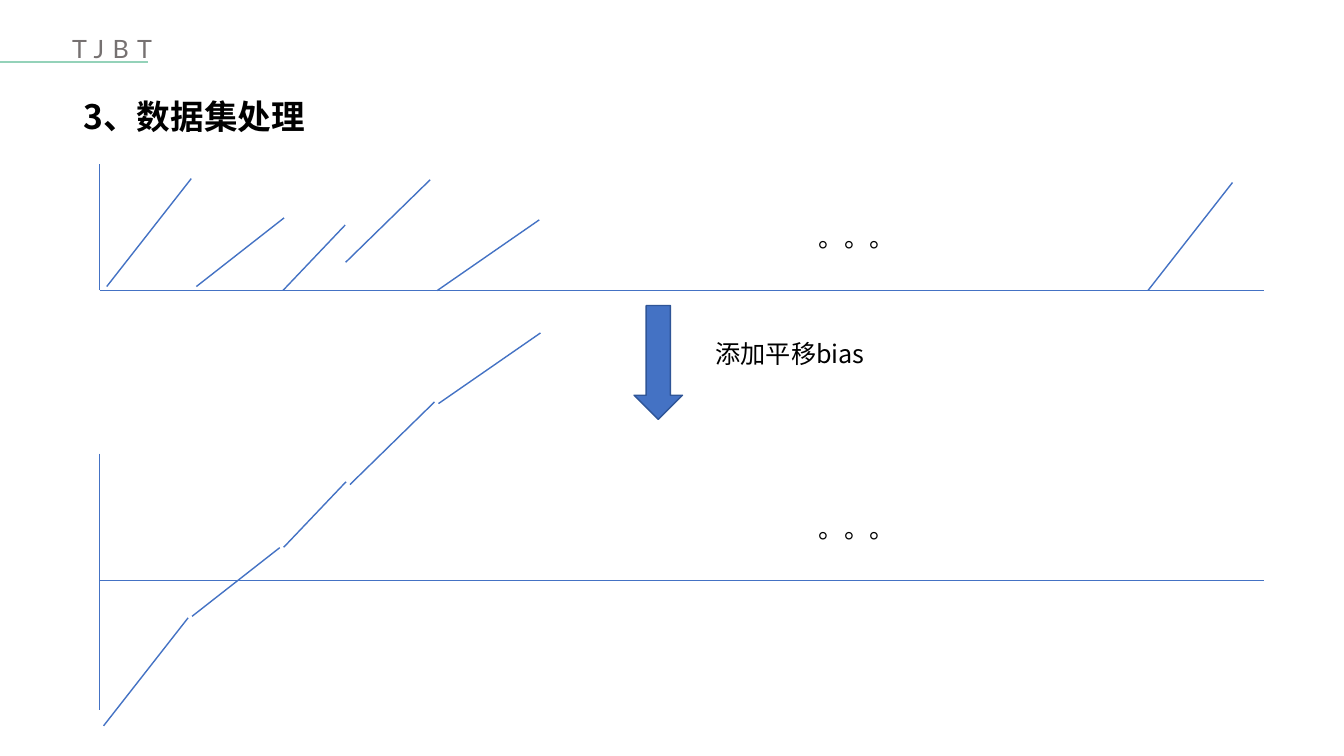
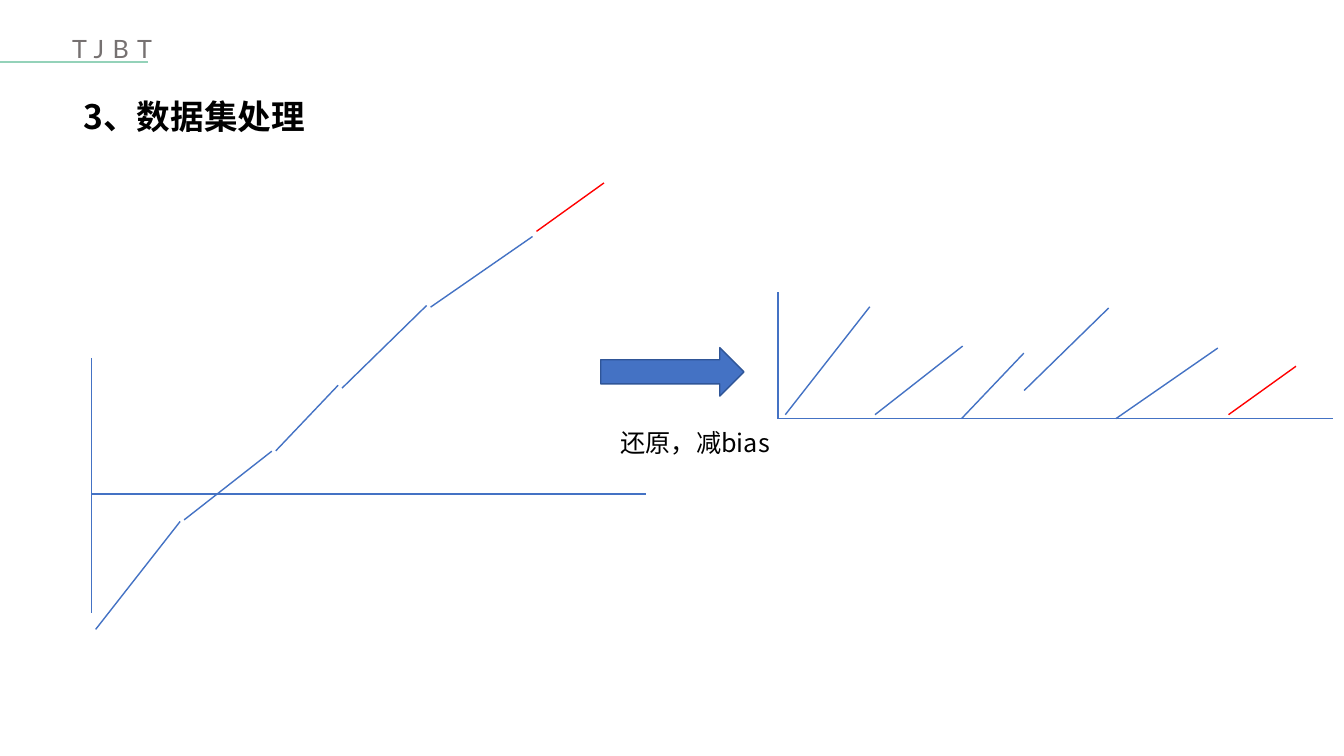
import itertools

import pptx
import pptx.util
import pptx.dml.color
import pptx.enum.shapes
import pptx.enum.text
import pptx.oxml
import pptx.oxml.ns

Cm = pptx.util.Cm
Pt = pptx.util.Pt
RGBColor = pptx.dml.color.RGBColor
SHAPE = pptx.enum.shapes.MSO_SHAPE
qn = pptx.oxml.ns.qn

BLUE = RGBColor(0x44, 0x72, 0xC4)
NAVY = RGBColor(0x2F, 0x55, 0x97)
RED = RGBColor(0xFF, 0x00, 0x00)
MINT = RGBColor(0x94, 0xD2, 0xB9)
GREY = RGBColor(0x76, 0x71, 0x71)
BLACK = RGBColor(0x00, 0x00, 0x00)
HAN = "Noto Sans CJK SC"

STROKES = [(2.13, 2.72), (2.21, 1.73), (1.57, 1.65), (2.13, 2.08), (2.57, 1.78)]
STARTS = [(0.18, 0.1), (2.44, 0.1), (4.62, 0), (6.2, 0.71), (8.51, 0)]
RISES = [0, 2.76, 4.5, 6.08, 8.12, 10.03]
GUESS = (1.7, 1.22)
GAP = 0.1


def style(para, size, color, face=HAN, bold=False, space=0):
    font = para.font
    font.size = Pt(size)
    font.bold = bold
    font.color.rgb = color
    font.name = face
    props = para._p.pPr.find(qn("a:defRPr"))
    east = props.makeelement(qn("a:ea"), {"typeface": face})
    props.find(qn("a:latin")).addnext(east)
    if space:
        props.set("spc", str(space * 100))


def label(slide, text, left, top, width=11.28, **look):
    box = slide.shapes.add_textbox(Cm(left), Cm(top), Cm(width), Cm(1.02))
    frame = box.text_frame
    frame.word_wrap = True
    frame.auto_size = pptx.enum.text.MSO_AUTO_SIZE.SHAPE_TO_FIT_TEXT
    frame.text = text
    style(frame.paragraphs[0], 18, **{"color": BLACK, **look})


def line(slide, x1, y1, x2, y2, color=BLUE, width=1):
    kind = pptx.enum.shapes.MSO_CONNECTOR.STRAIGHT
    rule = slide.shapes.add_connector(kind, Cm(x1), Cm(y1), Cm(x2), Cm(y2))
    rule.line.color.rgb = color
    rule.line.width = Pt(width)
    props = rule._element.spPr
    props.append(props.makeelement(qn("a:effectLst"), {}))


def stroke(slide, x, y, size, color=BLUE):
    line(slide, x, y, x + size[0], y - size[1], color)


def axes(slide, left, top, width, height, zero):
    line(slide, left, top, left, top + height)
    line(slide, left, top + zero, left + width, top + zero)


def dots(slide, left, base):
    label(slide, "。。。", left + 17.88, base - 1.83)


def saw(slide, left, top, width, height=3.18):
    axes(slide, left, top, width, height, height)
    base = top + height
    for (x, y), size in zip(STARTS, STROKES):
        stroke(slide, left + x, base - y, size)


def chain(slide, left, top, width, height, zero, guess=False):
    axes(slide, left, top, width, height, zero)
    base = top + height + 0.41
    steps = itertools.accumulate((w + GAP for w, _ in STROKES), initial=GAP)
    spots = [(left + x, base - y) for x, y in zip(steps, RISES)]
    for (x, y), size in zip(spots, STROKES):
        stroke(slide, x, y, size)
    if guess:
        stroke(slide, *spots[-1], GUESS, RED)


def arrow(slide, kind, left, top, width, height):
    shape = slide.shapes.add_shape(kind, Cm(left), Cm(top), Cm(width), Cm(height))
    shape.shadow.inherit = False
    shape.fill.solid()
    shape.fill.fore_color.rgb = BLUE
    shape.line.color.rgb = NAVY
    shape.line.width = Pt(1)


def page(deck):
    slide = deck.slides.add_slide(deck.slide_layouts[5])
    line(slide, 0, 1.56, 3.72, 1.56, MINT, 1.5)
    label(slide, "TJBT", 1.57, 0.71, 5.69, color=GREY, face="Lato", space=6)
    title = slide.shapes.title
    title.left, title.top = Cm(1.85), Cm(2.41)
    title.width, title.height = Cm(29.77), Cm(3.83)
    frame = title.text_frame
    frame.text = "3、数据集处理"
    frame.word_wrap = True
    frame.auto_size = pptx.enum.text.MSO_AUTO_SIZE.NONE
    frame.vertical_anchor = pptx.enum.text.MSO_ANCHOR.TOP
    para = frame.paragraphs[0]
    para.alignment = pptx.enum.text.PP_ALIGN.LEFT
    para.line_spacing = 0.9
    style(para, 24, BLACK, bold=True)
    return slide


def shift(deck):
    slide = page(deck)
    left, width = 2.51, 29.34
    saw(slide, left, 4.14, width)
    stroke(slide, left + 26.42, 7.32, STROKES[0])
    dots(slide, left, 7.32)
    arrow(slide, SHAPE.DOWN_ARROW, 15.98, 7.7, 1.22, 2.87)
    label(slide, "添加平移bias", 17.78, 8.41)
    chain(slide, left, 11.43, width, 6.45, 3.2)
    dots(slide, left, 14.63)


def restore(deck):
    slide = page(deck)
    chain(slide, 2.31, 9.02, 13.97, 6.43, 3.43, guess=True)
    arrow(slide, SHAPE.RIGHT_ARROW, 15.14, 8.76, 3.61, 1.22)
    label(slide, "还原，减bias", 15.39, 10.64)
    left, top = 19.61, 7.37
    saw(slide, left, top, 13.99)
    stroke(slide, left + 11.35, top + 3.08, GUESS, RED)


def main():
    deck = pptx.Presentation()
    deck.slide_width, deck.slide_height = Cm(33.87), Cm(19.05)
    shift(deck)
    restore(deck)
    deck.save("out.pptx")


if __name__ == "__main__":
    main()
